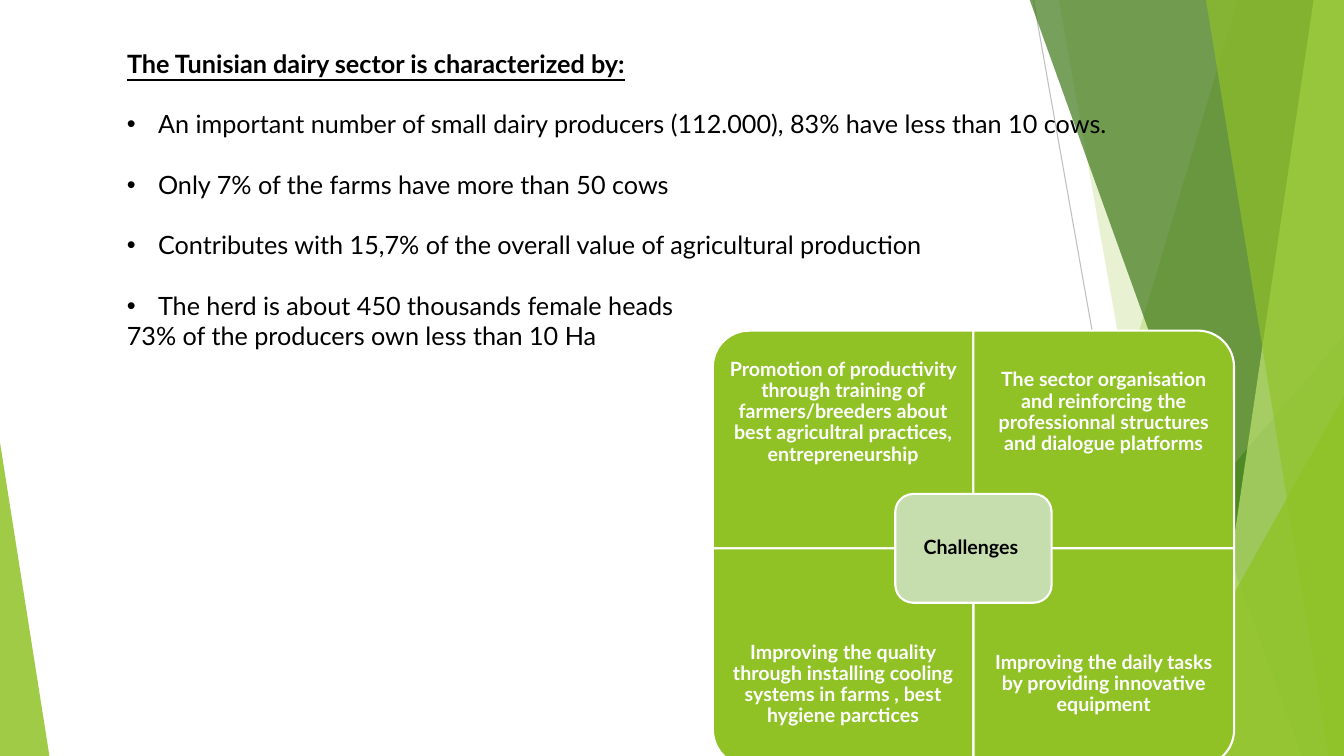
from dataclasses import dataclass

from lxml import etree
from pptx import Presentation
from pptx.dml.color import RGBColor
from pptx.enum.shapes import MSO_CONNECTOR, MSO_SHAPE
from pptx.enum.text import MSO_ANCHOR, PP_ALIGN
from pptx.oxml.ns import qn
from pptx.util import Inches, Pt

LINE = MSO_CONNECTOR.STRAIGHT
TRIANGLE = MSO_SHAPE.ISOSCELES_TRIANGLE
ONE_ROUND = MSO_SHAPE.ROUND_1_RECTANGLE
ROUNDED = MSO_SHAPE.ROUNDED_RECTANGLE
TOP, MIDDLE = MSO_ANCHOR.TOP, MSO_ANCHOR.MIDDLE
LEFT, CENTER = PP_ALIGN.LEFT, PP_ALIGN.CENTER


@dataclass(frozen=True)
class Theme:
    font: str = "Lato"
    body: int = 18
    label: int = 14
    black: str = "000000"
    white: str = "FFFFFF"
    green: str = "90C226"
    mid: str = "54A021"
    dark: str = "3F7819"
    lime: str = "C0E474"
    pale: str = "C6DDAD"
    gray: str = "BFBFBF"
    light_gray: str = "D9D9D9"


THEME = Theme()
SLIDE_W, SLIDE_H = 13.33, 7.5

HEADING = "The Tunisian dairy sector is characterized by:"
FACTS = [
    "An important number of small dairy producers (112.000), 83% have less than 10 cows.",
    "Only 7% of the farms have more than 50 cows",
    "Contributes with 15,7% of the overall value of agricultural production",
    "The herd is about 450 thousands female heads",
]
CLOSING = "73% of the producers own less than 10 Ha"
CHALLENGES = [
    "Promotion of productivity through training of farmers/breeders about "
    "best agricultral practices, entrepreneurship",
    "The sector organisation and reinforcing the professionnal structures "
    "and dialogue platforms",
    "Improving the quality through installing cooling systems in farms , "
    "best hygiene parctices",
    "Improving the daily tasks by providing innovative equipment",
]
QUADRANT_TURNS = [270, 0, 180, 90]


def paint(sp, color, opacity=100, outline=None):
    sp.shadow.inherit = False
    sp.fill.solid()
    sp.fill.fore_color.rgb = RGBColor.from_string(color)
    if opacity < 100:
        clr = sp._element.spPr.find(qn("a:solidFill"))[0]
        etree.SubElement(clr, qn("a:alpha"), val=str(opacity * 1000))
    if outline:
        sp.line.color.rgb = RGBColor.from_string(outline)
        sp.line.width = Pt(1.5)
    else:
        sp.line.fill.background()


def style(p, size, color, bold=False, align=LEFT):
    p.alignment = align
    p.font.name = THEME.font
    p.font.size = Pt(size)
    p.font.bold = bold
    p.font.color.rgb = RGBColor.from_string(color)


def set_frame(tf, anchor, inset_x=0.1, inset_y=0.05):
    tf.word_wrap = True
    tf.vertical_anchor = anchor
    tf.margin_left = tf.margin_right = Inches(inset_x)
    tf.margin_top = tf.margin_bottom = Inches(inset_y)


def add_bullet(p):
    """Must follow style() and spacing, but precede the default run properties."""
    pPr = p._p.get_or_add_pPr()
    pPr.set("marL", str(Inches(0.31)))
    pPr.set("indent", str(-Inches(0.31)))
    defaults = pPr.find(qn("a:defRPr"))
    font = etree.Element(qn("a:buFont"), typeface="Arial")
    char = etree.Element(qn("a:buChar"), char="•")
    for bullet_part in (font, char):
        defaults.addprevious(bullet_part)


def add_line(slide, x1, y1, x2, y2, color):
    line = slide.shapes.add_connector(
        LINE, Inches(x1), Inches(y1), Inches(x2), Inches(y2))
    line.line.color.rgb = RGBColor.from_string(color)
    line.line.width = Pt(0.75)
    etree.SubElement(line._element.spPr, qn("a:effectLst"))


def add_band(slide, top_x, bottom_x, color, opacity):
    """Full-height facet with a slanted left side, up to the slide's right edge."""
    top = -0.01
    builder = slide.shapes.build_freeform(Inches(top_x), Inches(top), scale=1.0)
    corners = [(SLIDE_W, top), (SLIDE_W, SLIDE_H), (bottom_x, SLIDE_H)]
    builder.add_line_segments([(Inches(x), Inches(y)) for x, y in corners])
    paint(builder.convert_to_shape(), color, opacity)


def add_corner(slide, left, top, width, apex, color, opacity):
    """Right triangle standing on the slide's bottom edge."""
    sp = slide.shapes.add_shape(
        TRIANGLE, Inches(left), Inches(top), Inches(width), Inches(SLIDE_H - top))
    sp.adjustments[0] = apex
    paint(sp, color, opacity)


def add_backdrop(slide):
    t = THEME
    add_line(slide, 10.25, 0, 11.58, SLIDE_H, t.gray)
    add_line(slide, SLIDE_W, 4.03, 8.12, SLIDE_H, t.light_gray)
    add_band(slide, 12.28, 10.04, t.green, 30)
    add_band(slide, 10.5, 11.83, t.green, 20)
    add_corner(slide, 9.77, 3.33, 3.56, 1, t.mid, 72)
    add_band(slide, 10.21, 12.91, t.dark, 70)
    add_band(slide, 13.03, 11.92, t.lime, 70)
    add_band(slide, 11.96, 13.18, t.green, 65)
    add_corner(slide, 11.34, 3.93, 1.99, 1, t.green, 80)
    add_corner(slide, 0, 4.39, 0.49, 0, t.green, 85)


def add_heading(slide, left, top, width, height):
    title = slide.shapes.title
    title.left, title.top = Inches(left), Inches(top)
    title.width, title.height = Inches(width), Inches(height)
    tf = title.text_frame
    set_frame(tf, TOP)
    tf.text = HEADING
    style(tf.paragraphs[0], THEME.body, THEME.black, bold=True)
    tf.paragraphs[0].font.underline = True


def add_facts(slide, left, top, width, height):
    tf = slide.shapes.add_textbox(
        Inches(left), Inches(top), Inches(width), Inches(height)).text_frame
    set_frame(tf, TOP)
    tf.text = "\n".join(FACTS + [CLOSING])
    bullets = tf.paragraphs[:len(FACTS)]
    for p in tf.paragraphs:
        style(p, THEME.body, THEME.black)
    for p in bullets[:-1]:
        p.space_after = Pt(1.2 * THEME.body)
    for p in bullets:
        add_bullet(p)


def add_label(slide, left, top, width, height, text, color, inset):
    tf = slide.shapes.add_textbox(
        Inches(left), Inches(top), Inches(width), Inches(height)).text_frame
    set_frame(tf, MIDDLE, inset, inset)
    tf.text = text
    style(tf.paragraphs[0], THEME.label, color, bold=True, align=CENTER)
    tf.paragraphs[0].line_spacing = 0.9


def add_matrix(slide, left, top, width, height):
    """Four quadrants, each rounded at its outer corner, around a centre tile."""
    w, h = width / 2, height / 2
    label_h = 0.75 * h
    for i, (text, turn) in enumerate(zip(CHALLENGES, QUADRANT_TURNS)):
        row, col = divmod(i, 2)
        x, y = left + col * w, top + row * h
        sw, sh = (h, w) if turn % 180 else (w, h)
        sp = slide.shapes.add_shape(
            ONE_ROUND, Inches(x + (w - sw) / 2), Inches(y + (h - sh) / 2),
            Inches(sw), Inches(sh))
        sp.rotation = turn
        paint(sp, THEME.green, outline=THEME.white)
        add_label(slide, x, y + row * (h - label_h), w, label_h,
                  text, THEME.white, 0.11)

    cw, ch = 0.6 * w, 0.5 * h
    cx, cy = left + w - cw / 2, top + h - ch / 2
    sp = slide.shapes.add_shape(
        ROUNDED, Inches(cx), Inches(cy), Inches(cw), Inches(ch))
    paint(sp, THEME.pale, outline=THEME.white)
    add_label(slide, cx + 0.05, cy + 0.05, cw - 0.1, ch - 0.1,
              "Challenges ", THEME.black, 0.06)


def main():
    prs = Presentation()
    prs.slide_width, prs.slide_height = Inches(SLIDE_W), Inches(SLIDE_H)
    slide = prs.slides.add_slide(prs.slide_layouts[5])
    add_backdrop(slide)
    add_heading(slide, 1.16, 0.43, 10.93, 0.4)
    add_facts(slide, 1.16, 1.03, 10.93, 2.53)
    add_matrix(slide, 7.07, 3.28, 5.17, 4.32)
    prs.save("out.pptx")


if __name__ == "__main__":
    main()
